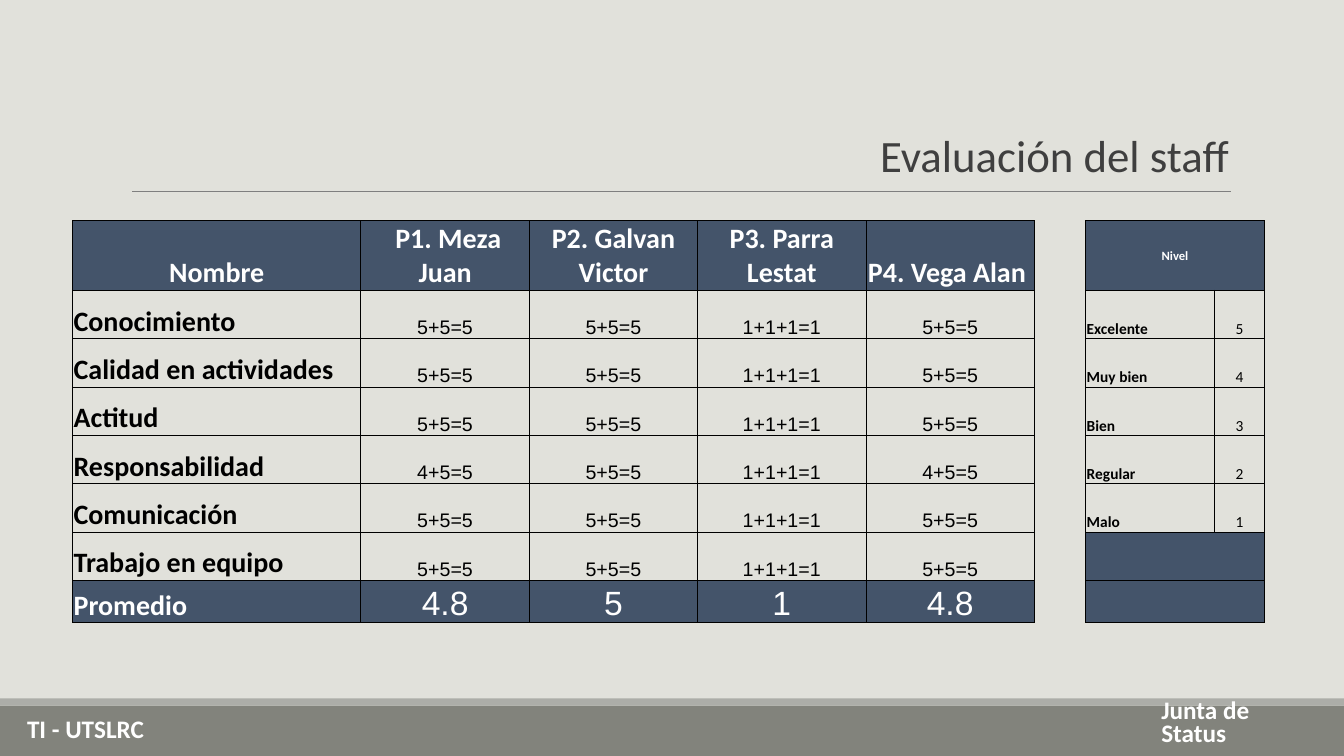
from lxml import etree
from pptx import Presentation
from pptx.dml.color import RGBColor
from pptx.enum.shapes import MSO_CONNECTOR as Line, MSO_SHAPE as Shape
from pptx.enum.text import MSO_ANCHOR as Anchor, PP_ALIGN as Align
from pptx.oxml.ns import qn
from pptx.util import Inches, Pt

NAVY, WHITE, BLACK = "44546A", "FFFFFF", "000000"


def color(code):
    return RGBColor.from_string(code)


class Deck:
    font = "Calibri"

    def __init__(self, wide, high, back):
        self.prs = Presentation()
        self.prs.slide_width, self.prs.slide_height = Inches(wide), Inches(high)
        self.slide = self.prs.slides.add_slide(self.prs.slide_layouts[6])
        fill = self.slide.background.fill
        fill.solid()
        fill.fore_color.rgb = color(back)

    def bar(self, top, high, fill):
        bar = self.slide.shapes.add_shape(
            Shape.RECTANGLE, 0, Inches(top), self.prs.slide_width, Inches(high))
        bar.shadow.inherit = False
        bar.fill.solid()
        bar.fill.fore_color.rgb = color(fill)
        bar.line.fill.background()

    def rule(self, left, right, top, ink):
        rule = self.slide.shapes.add_connector(
            Line.STRAIGHT, Inches(left), Inches(top), Inches(right), Inches(top))
        rule.line.color.rgb = color(ink)
        rule.line.width = Pt(0.75)
        etree.SubElement(rule._element.spPr, qn("a:effectLst"))

    def phrase(self, para, text, size, ink, bold=False, align=Align.LEFT, font=None):
        para.text = text
        para.alignment = align
        para.font.name = font or self.font
        para.font.size = Pt(size)
        para.font.bold = bold
        para.font.color.rgb = color(ink)

    def label(self, box, text, size, ink, space, **style):
        frame = self.slide.shapes.add_textbox(*map(Inches, box)).text_frame
        frame.word_wrap = True
        frame.vertical_anchor = Anchor.BOTTOM
        para = frame.paragraphs[0]
        self.phrase(para, text, size, ink, **style)
        para.line_spacing = space

    def table(self, left, top, cols, rows):
        table = self.slide.shapes.add_table(
            len(rows), len(cols), Inches(left), Inches(top),
            Inches(sum(cols)), Inches(sum(rows))).table
        table.first_row = table.horz_banding = False
        for col, wide in zip(table.columns, cols):
            col.width = Inches(wide)
        for row, high in zip(table.rows, rows):
            row.height = Inches(high)
        return table

    def cell(self, cell, fill=None, sides="LRTB"):
        cell.margin_left = cell.margin_right = cell.margin_top = Inches(0.01)
        cell.margin_bottom = 0
        cell.vertical_anchor = Anchor.BOTTOM
        props = cell._tc.get_or_add_tcPr()
        for side in "LRTB":
            edge = etree.SubElement(props, qn(f"a:ln{side}"), w=str(Pt(0.75)))
            if side in sides:
                paint = etree.SubElement(edge, qn("a:solidFill"))
                etree.SubElement(paint, qn("a:srgbClr"), val=BLACK)
            else:
                etree.SubElement(edge, qn("a:noFill"))
        if fill:
            cell.fill.solid()
            cell.fill.fore_color.rgb = color(fill)
        else:
            cell.fill.background()


def main():
    deck = Deck(13.33, 7.5, "E1E1DB")

    # Footer bars, title rule and labels
    deck.bar(7, 0.5, "82837C")
    deck.bar(6.93, 0.07, "ACADA8")
    deck.rule(1.31, 12.21, 1.9, "7F7F7F")
    deck.label((8.49, 1.36, 3.94, 0.49), "Evaluación del staff", 32, "3F3F3F",
               0.85, align=Align.CENTER)
    deck.label((11.42, 7.11, 1.7, 0.35), "Junta de Status", 18, WHITE, 0.75, bold=True)
    deck.label((0.17, 7.07, 1.7, 0.35), "TI - UTSLRC", 18, WHITE, 0.75, bold=True)

    # Scores on the left, level key on the right, open gap between
    heads = ["Nombre", " P1. Meza Juan", "P2. Galvan Victor",
             "P3. Parra Lestat", "P4. Vega Alan "]
    full, low, mixed = "5+5=5", "1+1+1=1", "4+5=5"
    usual = [full, full, low, full]
    scores = [
        ["Conocimiento", *usual],
        ["Calidad en actividades", *usual],
        ["Actitud", *usual],
        ["Responsabilidad", mixed, full, low, mixed],
        ["Comunicación", *usual],
        ["Trabajo en equipo", *usual],
        ["Promedio", "4.8", "5", "1", "4.8"],
    ]
    levels = ["Excelente", "Muy bien", "Bien", "Regular", "Malo"]
    gap, key = len(heads), len(heads) + 1
    last = len(scores)
    table = deck.table(0.72, 2.19, [2.86] + [1.67] * 4 + [0.51, 1.28, 0.49],
                       [0.69] + [0.48] * 6 + [0.42])

    # Fills and borders
    for r in range(last + 1):
        for c in range(key + 2):
            dark = r in (0, last) or (c >= key and r > len(levels))
            if c == gap:
                deck.cell(table.cell(r, c), sides="LR")
            else:
                deck.cell(table.cell(r, c), NAVY if dark else None)
    for r in (0, last - 1, last):
        table.cell(r, key).merge(table.cell(r, key + 1))

    def put(r, c, text, size, ink=BLACK, **style):
        deck.phrase(table.cell(r, c).text_frame.paragraphs[0], text, size, ink, **style)

    # Header row
    for c, head in enumerate(heads):
        put(0, c, head, 20, WHITE, bold=True, align=Align.CENTER)
    put(0, key, "Nivel", 9, WHITE, bold=True, align=Align.CENTER)
    table.cell(0, key).vertical_anchor = Anchor.MIDDLE

    # Scores and averages
    for r, (name, *marks) in enumerate(scores, 1):
        size, ink = (24, WHITE) if r == last else (14, BLACK)
        put(r, 0, name, 20, ink, bold=True)
        for c, mark in enumerate(marks, 1):
            put(r, c, mark, size, ink, align=Align.CENTER, font="Arial")

    # Level key
    for r, level in enumerate(levels, 1):
        put(r, key, level, 11, bold=True)
        put(r, key + 1, str(len(levels) + 1 - r), 11, align=Align.CENTER)

    deck.prs.save("out.pptx")


if __name__ == "__main__":
    main()
